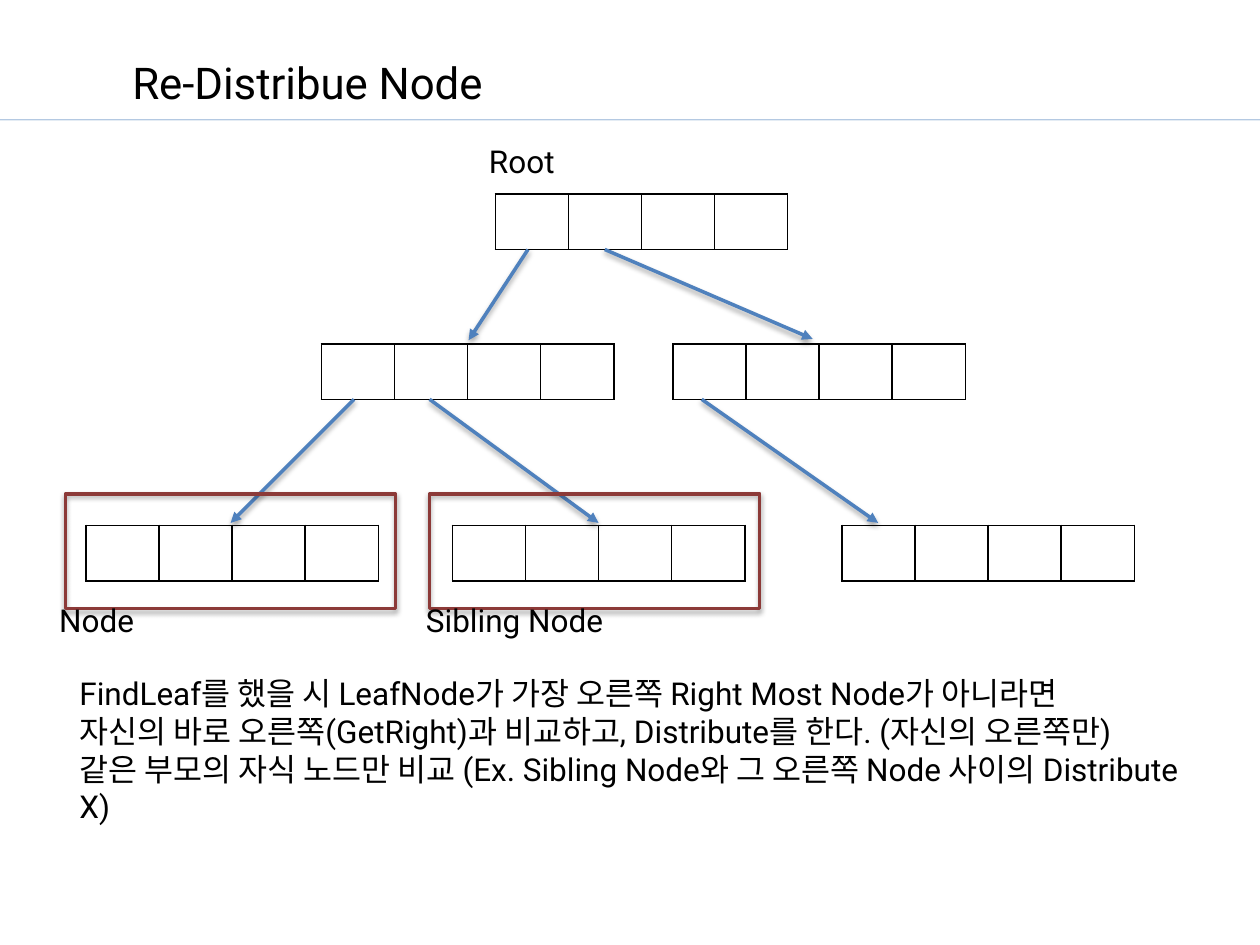
from typing import NamedTuple

import lxml.etree
import pptx
import pptx.dml.color
import pptx.enum.shapes
import pptx.oxml.ns
import pptx.util

Pt = pptx.util.Pt
BLACK, BLUE, RED, PALE = "000000", "4F81BD", "8C3A38", "95B3D7"
CELL, TALL = 41.8, 31.7
UPPER, MIDDLE, LOWER = 110.9, 196.6, 300.2


class Node(NamedTuple):
    left: float
    top: float


class Arrow(NamedTuple):
    x1: float
    y1: float
    x2: float
    y2: float


class Label(NamedTuple):
    left: float
    top: float
    width: float
    height: float
    lines: list[str]
    size: float = 18
    wrap: bool = False


NODES = [
    Node(283, UPPER),
    Node(183.6, MIDDLE),
    Node(384.5, MIDDLE),
    Node(49, LOWER),
    Node(258.5, LOWER),
    Node(481, LOWER),
]
ARROWS = [
    Arrow(301.7, 142.6, 267.8, 194.4),
    Arrow(345.6, 142.6, 464.4, 193.7),
    Arrow(202.3, 228.2, 131.8, 298.8),
    Arrow(245.5, 228.2, 342, 298.8),
    Arrow(401, 228.2, 501.8, 298.8),
]
FRAMES = [37.4, 245.5]
LABELS = [
    Label(75.6, 31.7, 208, 29.5, ["Re-Distribue Node"], 25),
    Label(279.4, 81.4, 39.6, 21.6, ["Root"]),
    Label(33.8, 343.4, 44.6, 21.6, ["Node"]),
    Label(243.4, 343.4, 104.4, 21.6, ["Sibling Node"]),
    Label(45.4, 385.2, 647.3, 69.8, [
        "FindLeaf를 했을 시 LeafNode가 가장 오른쪽 Right Most Node가 아니라면",
        "자신의 바로 오른쪽(GetRight)과 비교하고, Distribute를 한다. (자신의 오른쪽만)",
        "같은 부모의 자식 노드만 비교 (Ex. Sibling Node와 그 오른쪽 Node 사이의 Distribute X)",
    ], wrap=True),
]


def paint(text: str) -> pptx.dml.color.RGBColor:
    return pptx.dml.color.RGBColor.from_string(text)


def add(parent, tag: str, **attrs):
    return lxml.etree.SubElement(parent, pptx.oxml.ns.qn(tag), attrs)


def shade(effects) -> None:
    shadow = add(effects, "a:outerShdw", blurRad=str(Pt(3)), dist=str(Pt(1.8)),
                 dir="5400000", rotWithShape="0")
    color = add(shadow, "a:srgbClr", val=BLACK)
    add(color, "a:alpha", val="35000")


def draw_line(slide, arrow: Arrow, color: str, width: float):
    line = slide.shapes.add_connector(
        pptx.enum.shapes.MSO_CONNECTOR.STRAIGHT, *map(Pt, arrow))
    line.line.color.rgb = paint(color)
    line.line.width = Pt(width)
    return line, add(line._element.spPr, "a:effectLst")


def draw_rule(slide) -> None:
    line, _ = draw_line(slide, Arrow(0, 68.4, 720, 68.4), PALE, 0.75)
    color = line.line._ln.find(".//" + pptx.oxml.ns.qn("a:srgbClr"))
    add(color, "a:alpha", val="70000")


def draw_arrow(slide, arrow: Arrow) -> None:
    line, effects = draw_line(slide, arrow, BLUE, 2)
    add(line.line._ln, "a:tailEnd", type="triangle")
    shade(effects)


def draw_node(slide, node: Node) -> None:
    table = slide.shapes.add_table(
        1, 4, Pt(node.left), Pt(node.top), Pt(4 * CELL), Pt(TALL)).table
    table.first_row = table.horz_banding = False
    for column in table.columns:
        column.width = Pt(CELL)
    for cell in table.iter_cells():
        props = cell._tc.get_or_add_tcPr()
        for side in "LRTB":
            edge = add(props, f"a:ln{side}", w=str(Pt(1)))
            add(add(edge, "a:solidFill"), "a:srgbClr", val=BLACK)
        cell.fill.background()


def draw_frame(slide, left: float) -> None:
    frame = slide.shapes.add_shape(
        pptx.enum.shapes.MSO_SHAPE.RECTANGLE,
        Pt(left), Pt(282.2), Pt(188.6), Pt(65.5))
    frame.fill.background()
    frame.line.color.rgb = paint(RED)
    frame.line.width = Pt(2)
    frame.shadow.inherit = False
    shade(frame._element.spPr.find(pptx.oxml.ns.qn("a:effectLst")))


def draw_label(slide, label: Label) -> None:
    box = slide.shapes.add_textbox(*map(Pt, label[:4])).text_frame
    box.margin_left = box.margin_right = box.margin_top = box.margin_bottom = 0
    box.word_wrap = label.wrap
    for index, line in enumerate(label.lines):
        para = box.add_paragraph() if index else box.paragraphs[0]
        run = para.add_run()
        run.text = line
        run.font.name = "Roboto"
        run.font.size = Pt(label.size)
        run.font.color.rgb = paint(BLACK)


def main() -> None:
    deck = pptx.Presentation()
    deck.slide_width, deck.slide_height = Pt(720), Pt(540)
    slide = deck.slides.add_slide(deck.slide_layouts[6])
    draw_rule(slide)
    for node in NODES:
        draw_node(slide, node)
    for arrow in ARROWS:
        draw_arrow(slide, arrow)
    for left in FRAMES:
        draw_frame(slide, left)
    for label in LABELS:
        draw_label(slide, label)
    deck.save("out.pptx")


main()
